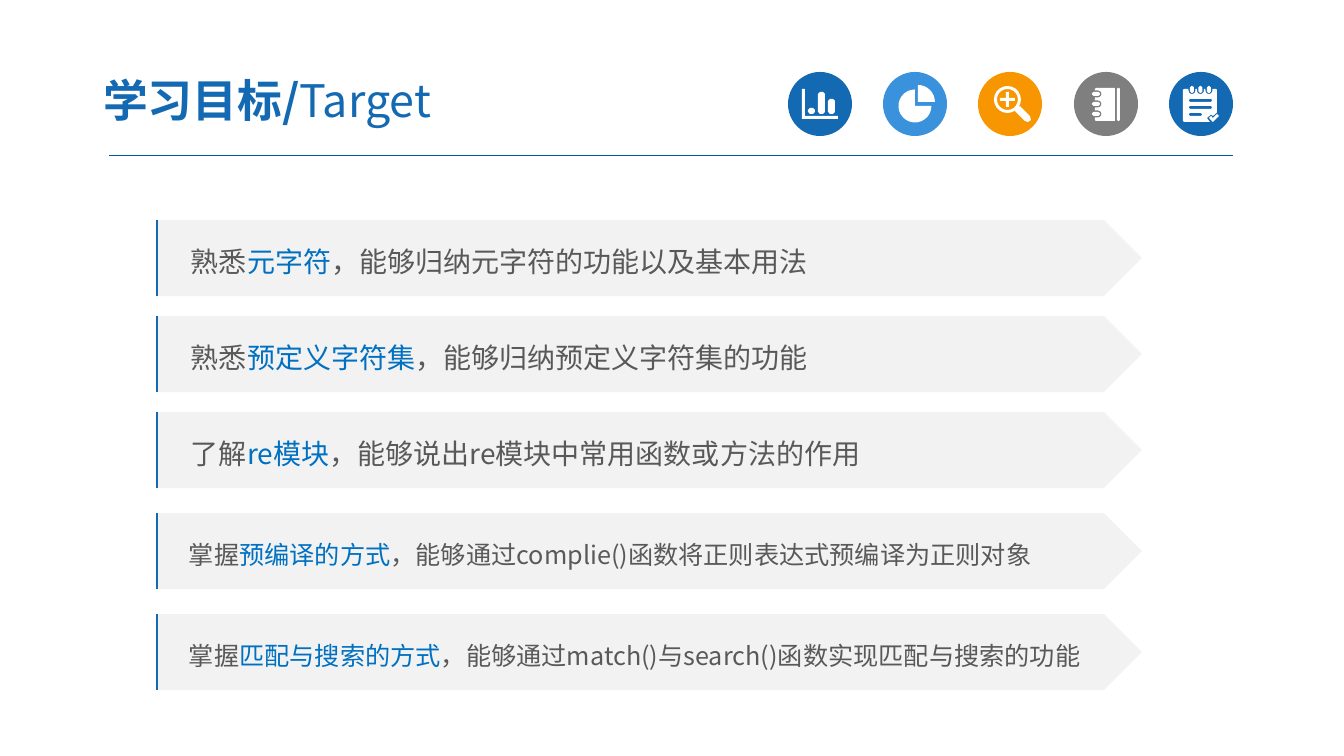
import math
from dataclasses import dataclass

from lxml import etree
from pptx import Presentation
from pptx.dml.color import RGBColor
from pptx.enum.shapes import MSO_CONNECTOR, MSO_SHAPE
from pptx.enum.text import MSO_ANCHOR, MSO_AUTO_SIZE, PP_ALIGN
from pptx.oxml.ns import qn
from pptx.util import Emu, Pt

STRAIGHT = MSO_CONNECTOR.STRAIGHT
OVAL = MSO_SHAPE.OVAL
PENTAGON = MSO_SHAPE.PENTAGON
LEFT = PP_ALIGN.LEFT
MIDDLE = MSO_ANCHOR.MIDDLE
NO_FIT = MSO_AUTO_SIZE.NONE
TITLE_ONLY = 5
PX = 914400 / 100.8


@dataclass(frozen=True)
class Theme:
    font: str = "Noto Sans CJK SC"
    blue: str = "1369B2"
    sky: str = "3992DB"
    orange: str = "F79600"
    gray: str = "7F7F7F"
    white: str = "FFFFFF"
    rule: str = "005B9E"
    panel: str = "F2F2F2"
    text: str = "595959"
    keyword: str = "0070C0"
    title_size: int = 32
    large_size: int = 20
    small_size: int = 18


def px(length):
    return Emu(round(length * PX))


def set_values(target, values):
    for name, value in values.items():
        setattr(target, name, value)


def arc(x, y, radius, start=0, end=360, steps=20):
    angles = [math.radians(start + (end - start) * step / steps) for step in range(steps + 1)]
    return [(x + radius * math.cos(angle), y + radius * math.sin(angle)) for angle in angles]


def bar(left, top, width, height, cut=1):
    right, bottom = left + width, top + height
    return [(left + cut, top), (right - cut, top), (right, top + cut), (right, bottom - cut),
            (right - cut, bottom), (left + cut, bottom), (left, bottom - cut), (left, top + cut)]


class SlideBuilder:
    def __init__(self, slide, theme):
        self.slide = slide
        self.theme = theme

    def add_runs(self, paragraph, runs, size):
        for text, color, bold in runs:
            run = paragraph.add_run()
            run.text = text
            set_values(run.font, {"name": self.theme.font, "size": Pt(size), "bold": bold})
            run.font.color.rgb = RGBColor.from_string(color)
            east_asian = etree.SubElement(run.font._element, qn("a:ea"))
            east_asian.set("typeface", self.theme.font)

    def title(self, left, top, width, height, runs):
        title = self.slide.shapes.title
        set_values(title, {"left": px(left), "top": px(top),
                           "width": px(width), "height": px(height)})
        set_values(title.text_frame, {
            "auto_size": NO_FIT, "word_wrap": True, "vertical_anchor": MIDDLE,
            "margin_left": px(13), "margin_right": px(13),
            "margin_top": px(7), "margin_bottom": px(7)})
        paragraph = title.text_frame.paragraphs[0]
        set_values(paragraph, {"alignment": LEFT, "line_spacing": 1.0})
        self.add_runs(paragraph, runs, self.theme.title_size)

    def line(self, start, end, color, width):
        connector = self.slide.shapes.add_connector(
            STRAIGHT, *(px(value) for value in start + end))
        connector.line.color.rgb = RGBColor.from_string(color)
        connector.line.width = Pt(width)
        etree.SubElement(connector._element.spPr, qn("a:effectLst"))

    def paint(self, shape, color):
        shape.shadow.inherit = False
        shape.fill.solid()
        shape.fill.fore_color.rgb = RGBColor.from_string(color)
        shape.line.fill.background()
        return shape

    def shape(self, kind, box, color):
        shape = self.slide.shapes.add_shape(kind, *(px(value) for value in box))
        return self.paint(shape, color)

    def outline(self, contours, color):
        builder = self.slide.shapes.build_freeform(*map(px, contours[0][0]))
        for index, contour in enumerate(contours):
            points = [(px(x), px(y)) for x, y in contour]
            if index:
                builder.move_to(*points[0])
            builder.add_line_segments(points[1:], close=True)
        return self.paint(builder.convert_to_shape(), color)

    def goal(self, top, lead, keyword, rest, size, indent):
        theme = self.theme
        panel = self.shape(PENTAGON, (156, top, 986, 76), theme.panel)
        set_values(panel.text_frame, {"word_wrap": True, "vertical_anchor": MIDDLE,
                                      "margin_left": px(indent)})
        paragraph = panel.text_frame.paragraphs[0]
        set_values(paragraph, {"alignment": LEFT, "line_spacing": 1.2})
        self.add_runs(paragraph, [(lead, theme.text, False), (keyword, theme.keyword, False),
                                  (rest, theme.text, False)], size)
        self.line((157, top), (157, top + 76), theme.blue, 1.5)


def icon_contours():
    # Bar chart: axes and three bars
    chart = [[(802, 89), (805, 89), (805, 116), (838, 116), (838, 119), (802, 119)]]
    chart += [bar(left, top, 7, 114 - top, 2) for left, top in ((808, 108), (818, 92), (828, 99))]

    # Pie chart: three quarters and the loose quarter
    pie = [[(915, 106)] + arc(915, 106, 16.5, 0, 270),
           [(918, 102)] + arc(918, 102, 17, -90, 0, 8)]

    # Magnifier: ring, plus sign and handle
    plus = [(1006, 92), (1009, 92), (1009, 98), (1015, 98), (1015, 101), (1009, 101),
            (1009, 107), (1006, 107), (1006, 101), (1000, 101), (1000, 98), (1006, 98)]
    handle = [(1015, 111), (1020, 106), (1030, 116), (1031, 120), (1028, 122), (1025, 121)]
    magnifier = [arc(1007.5, 99.5, 13.5), arc(1007.5, 99.5, 10.5), plus, handle]

    # Notebook: notched page, cover edge and rings
    ring_rows = (94, 104, 114)
    page = [(1115, 121), (1115, 88), (1096, 88), (1095, 89)]
    for y in ring_rows:
        page += [(1095, y - 3.5)] + arc(1098, y, 3.5, -90, 90, 6) + [(1095, y + 3.5)]
    page += [(1095, 120), (1096, 121)]
    notebook = [page, bar(1117, 88, 3, 33)] + [bar(1092, y - 2, 8, 4, 1.5) for y in ring_rows]

    # Notepad: notched sheet, text lines, rings and check mark
    ring_columns = (1192, 1200.5, 1209)
    sheet = [(1183, 90), (1184, 89)]
    for x in ring_columns:
        sheet += [(x - 3.5, 89)] + arc(x, 90.5, 3.5, 180, 0, 6) + [(x + 3.5, 89)]
    sheet += [(1216, 89), (1217, 90), (1217, 112.5), (1213, 116), (1211, 114.5),
              (1207, 118), (1210, 122), (1184, 122), (1183, 121)]
    check = [(1209, 118), (1211, 116), (1213, 118), (1217, 114), (1219, 116), (1213, 122)]
    notepad = [sheet, check] + [bar(x - 2, 86, 4, 7, 1.5) for x in ring_columns]
    notepad += [bar(1189, top, width, 3) for top, width in ((99, 23), (106, 23), (113, 13))]
    return chart, pie, magnifier, notebook, notepad


def main():
    presentation = Presentation()
    presentation.slide_width, presentation.slide_height = px(1344), px(756)
    slide = presentation.slides.add_slide(presentation.slide_layouts[TITLE_ONLY])
    theme = Theme()
    builder = SlideBuilder(slide, theme)

    # Header with evenly spaced icon badges
    builder.line((109, 156), (1233, 156), theme.rule, 0.75)
    badge_colors = (theme.blue, theme.sky, theme.orange, theme.gray, theme.blue)
    for index, (color, contours) in enumerate(zip(badge_colors, icon_contours())):
        builder.shape(OVAL, (788 + round(index * 95.25), 72, 64, 64), color)
        builder.outline(contours, theme.white)
    builder.title(90, 63, 526, 73, [("学习目标/", theme.blue, True),
                                    ("Target", theme.blue, False)])

    # Learning goals
    large = (theme.large_size, 35)
    small = (theme.small_size, 33)
    goals = [
        (220, "熟悉", "元字符", "，能够归纳元字符的功能以及基本用法", *large),
        (316, "熟悉", "预定义字符集", "，能够归纳预定义字符集的功能", *large),
        (412, "了解", "re模块", "，能够说出re模块中常用函数或方法的作用", *large),
        (513, "掌握", "预编译的方式",
         "，能够通过complie()函数将正则表达式预编译为正则对象", *small),
        (614, "掌握", "匹配与搜索的方式",
         "，能够通过match()与search()函数实现匹配与搜索的功能", *small),
    ]
    for goal in goals:
        builder.goal(*goal)

    presentation.save("out.pptx")


if __name__ == "__main__":
    main()
